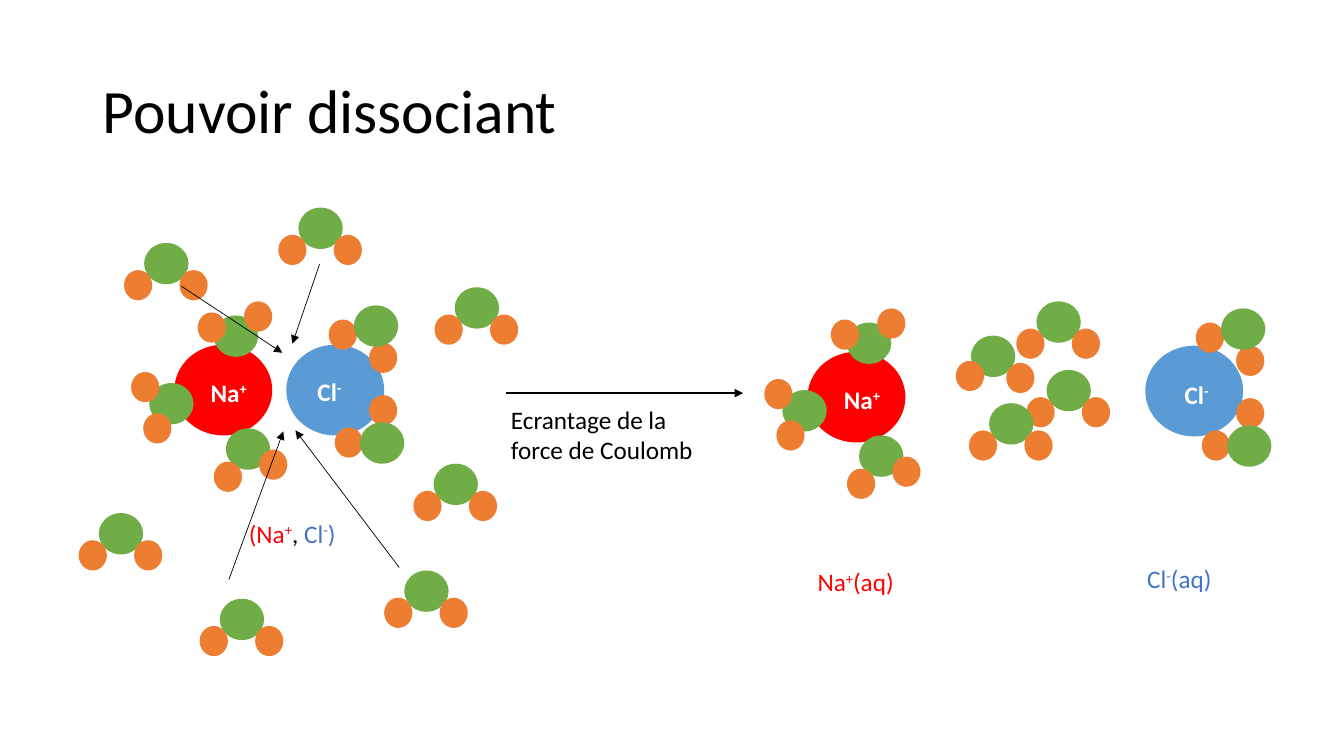
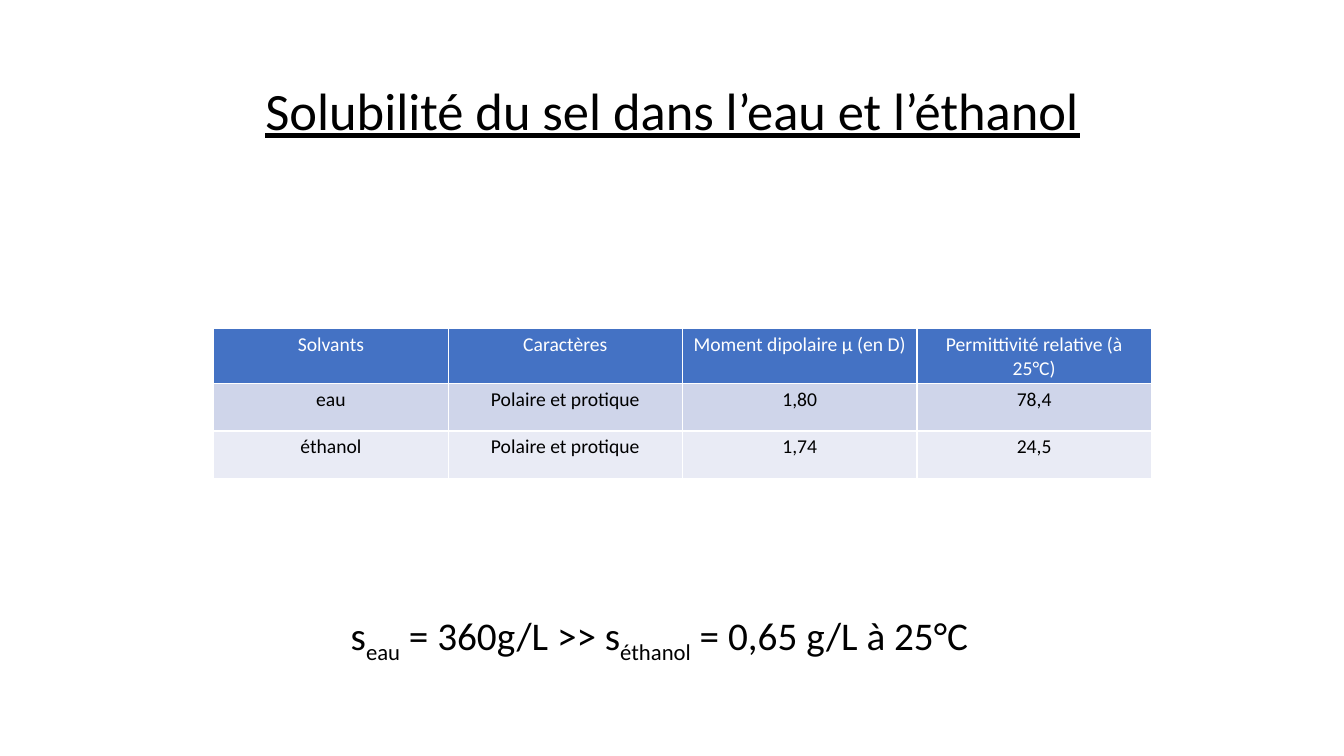
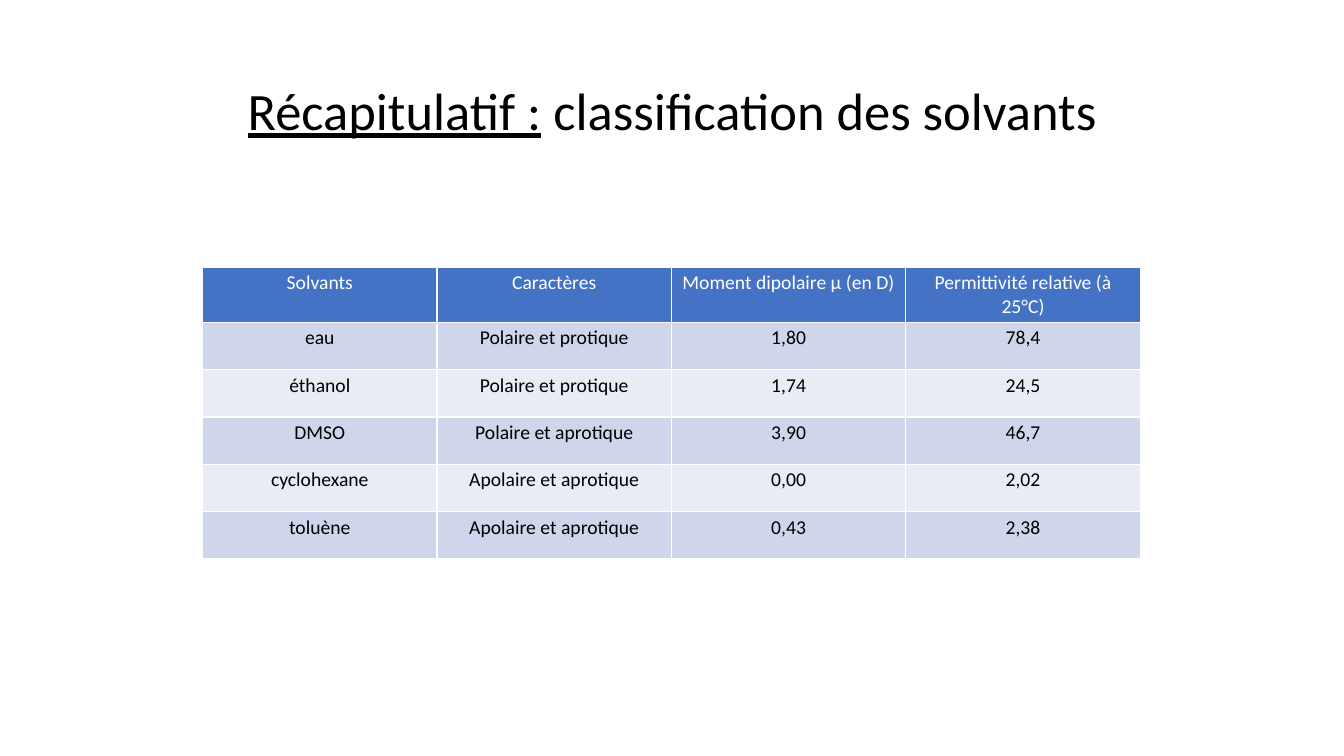
from lxml import etree
from pptx import Presentation
from pptx.dml.color import RGBColor
from pptx.enum.shapes import MSO_CONNECTOR, MSO_SHAPE
from pptx.enum.text import MSO_ANCHOR, MSO_AUTO_SIZE, PP_ALIGN
from pptx.oxml.ns import qn
from pptx.util import Emu, Pt

ELLIPSE = MSO_SHAPE.OVAL
STRAIGHT = MSO_CONNECTOR.STRAIGHT
MIDDLE, TOP = MSO_ANCHOR.MIDDLE, MSO_ANCHOR.TOP
LEFT, CENTER = PP_ALIGN.LEFT, PP_ALIGN.CENTER
GROW = MSO_AUTO_SIZE.SHAPE_TO_FIT_TEXT

EMU_PER_PX = 9144
FONT = "Calibri"
BLACK, WHITE = "000000", "FFFFFF"
RED, SKY, BLUE = "FF0000", "5B9BD5", "4472C4"
GREEN, ORANGE = "70AD47", "ED7D31"
BANDS = ("CFD5EA", "E9EBF5")
SUPER, SUB = 30, -25

ION_SIZE = (97, 90)
ATOM_SIZES = {GREEN: (44, 41), ORANGE: (28, 30)}
# Atoms around each ion, from back to front, relative to the shell's anchor
NA_SHELL = [
    (GREEN, 39, -29), (GREEN, -25, 38), (GREEN, 51, 83),
    (ORANGE, 69, -43), (ORANGE, 23, -32), (ORANGE, -43, 27),
    (ORANGE, -31, 68), (ORANGE, 39, 116), (ORANGE, 84, 104),
]
CL_SHELL = [
    (ORANGE, 42, -25), (ORANGE, 82, -2), (ORANGE, 82, 50),
    (ORANGE, 48, 82), (GREEN, 73, 77), (GREEN, 67, -39),
]
FREE_WATERS = [(296, 206), (143, 241), (98, 509), (401, 566), (451, 285),
               (218, 594), (430, 460)]
RELEASED_WATERS = [(1028, 299), (1038, 367), (981, 400)]
APPROACHES = [((317, 262), (290, 341)), ((227, 575), (281, 428)),
              ((180, 284), (280, 350)), ((396, 563), (293, 427))]

HEADER = ("Solvants", "Caractères", "Moment dipolaire µ (en D)",
          "Permittivité relative (à 25°C)")
SOLVENTS = [
    ("eau", "Polaire et protique", "1,80", "78,4"),
    ("éthanol", "Polaire et protique", "1,74", "24,5"),
    ("DMSO", "Polaire et aprotique", "3,90", "46,7"),
    ("cyclohexane", "Apolaire et aprotique", "0,00", "2,02"),
    ("toluène", "Apolaire et aprotique", "0,43", "2,38"),
]


def px(n):
    return Emu(n * EMU_PER_PX)


def rgb(color):
    return RGBColor.from_string(color)


def add_text(s, box, runs, size, color=BLACK, bold=False, align=LEFT,
             anchor=TOP, wrap=True):
    """Add one paragraph; each run is (text, options: base, color, underline)."""
    tb = s.shapes.add_textbox(*map(px, box))
    tf = tb.text_frame
    tf.word_wrap = wrap
    tf.vertical_anchor = anchor
    if anchor == TOP:
        tf.auto_size = GROW
    p = tf.paragraphs[0]
    p.alignment = align
    p.font.name, p.font.size, p.font.bold = FONT, Pt(size), bold
    for text, options in runs:
        r = p.add_run()
        r.text = text
        r.font.color.rgb = rgb(options.get("color", color))
        if options.get("underline"):
            r.font.underline = True
        if "base" in options:
            r.font._element.set("baseline", str(options["base"] * 1000))
    return p


def add_title(s, runs, size=37.5, align=CENTER):
    p = add_text(s, (92, 40, 1150, 145), runs, size, align=align, anchor=MIDDLE)
    p.line_spacing = 0.9


def add_ball(s, x, y, size, color):
    ball = s.shapes.add_shape(ELLIPSE, px(x), px(y), *map(px, size))
    ball.shadow.inherit = False
    ball.fill.solid()
    ball.fill.fore_color.rgb = rgb(color)
    ball.line.fill.background()


def add_atoms(s, x, y, atoms):
    for color, dx, dy in atoms:
        add_ball(s, x + dx, y + dy, ATOM_SIZES[color], color)


def add_water(s, x, y, left_h=(-20, 27)):
    add_atoms(s, x, y, [(GREEN, 0, 0), (ORANGE, *left_h), (ORANGE, 35, 27)])


def add_ion(s, ion, shell, color, atoms, symbol, charge, label_offset):
    """Add an ion at point ion, with atoms and label placed from point shell."""
    add_ball(s, *ion, ION_SIZE, color)
    add_atoms(s, *shell, atoms)
    box = (shell[0] + label_offset[0], shell[1] + label_offset[1], 68, 40)
    add_text(s, box, [(symbol, {}), (charge, {"base": SUPER})], 18, WHITE, True)


def add_sodium(s, x, y):
    add_ion(s, (x, y), (x, y), RED, NA_SHELL, "Na", "+", (26, 27))


def add_chloride(s, ion, shell):
    add_ion(s, ion, shell, SKY, CL_SHELL, "Cl", "-", (21, 26))


def add_arrow(s, start, end, width):
    line = s.shapes.add_connector(STRAIGHT, *map(px, start + end))
    line.line.color.rgb = rgb(BLACK)
    line.line.width = Pt(width)
    etree.SubElement(line.line._get_or_add_ln(), qn("a:tailEnd"), type="triangle")
    etree.SubElement(line._element.spPr, qn("a:effectLst"))


def set_borders(cell):
    tc_pr = cell._tc.get_or_add_tcPr()
    for i, side in enumerate(("lnL", "lnR", "lnT", "lnB")):
        ln = etree.Element(qn("a:" + side), w=str(Pt(1)))
        fill = etree.SubElement(ln, qn("a:solidFill"))
        etree.SubElement(fill, qn("a:srgbClr"), val=WHITE)
        tc_pr.insert(i, ln)


def fill_cell(cell, text, fill, color):
    cell.fill.solid()
    cell.fill.fore_color.rgb = rgb(fill)
    cell.margin_left = cell.margin_right = px(7)
    cell.margin_top = cell.margin_bottom = px(4)
    set_borders(cell)
    cell.text = text
    p = cell.text_frame.paragraphs[0]
    p.alignment = CENTER
    p.font.name, p.font.size, p.font.bold = FONT, Pt(14), False
    p.font.color.rgb = rgb(color)


def add_solvent_table(s, x, y, solvents):
    rows = [HEADER, *solvents]
    header_h, row_h = 53, 47
    table = s.shapes.add_table(len(rows), len(HEADER), px(x), px(y), px(930),
                               px(header_h + row_h * len(solvents))).table
    for i, row in enumerate(rows):
        table.rows[i].height = px(row_h if i else header_h)
        fill, color = (BANDS[(i - 1) % 2], BLACK) if i else (BLUE, WHITE)
        for j, text in enumerate(row):
            fill_cell(table.cell(i, j), text, fill, color)


def build_dissociation(s):
    add_title(s, [("Pouvoir dissociant", {})], 44, LEFT)
    add_arrow(s, (502, 390), (737, 390), 1.5)

    add_sodium(s, 173, 342)
    add_chloride(s, (284, 342), (284, 342))
    add_text(s, (237, 509, 143, 40), [
        ("(Na", {}), ("+", {"base": SUPER}), (", ", {"color": BLACK}),
        ("Cl", {"color": BLUE}), ("-", {"color": BLUE, "base": SUPER}),
        (")", {"color": BLUE})], 18, RED)
    for x, y in FREE_WATERS:
        add_water(s, x, y)

    add_sodium(s, 801, 349)
    add_chloride(s, (1136, 343), (1144, 345))
    add_water(s, 963, 333, left_h=(-15, 25))
    for x, y in RELEASED_WATERS:
        add_water(s, x, y)
    add_text(s, (801, 557, 98, 40),
             [("Na", {}), ("+", {"base": SUPER}), ("(aq)", {})], 18, RED, wrap=False)
    add_text(s, (1128, 554, 143, 40),
             [("Cl", {}), ("-", {"base": SUPER}), ("(aq)", {})], 18, BLUE)

    for start, end in APPROACHES:
        add_arrow(s, start, end, 0.5)
    add_text(s, (497, 396, 226, 71), [("Ecrantage de la force de Coulomb", {})], 18)


def build_solubility(s):
    add_title(s, [("Solubilité du sel dans l’eau et l’éthanol", {"underline": True})])
    add_solvent_table(s, 212, 326, SOLVENTS[:2])
    add_text(s, (338, 602, 658, 57), [
        ("s", {}), ("eau", {"base": SUB}), (" = 360g/L >> s", {}),
        ("éthanol", {"base": SUB}), (" = 0,65 g/L à 25°C", {})], 28)


def build_summary(s):
    add_title(s, [("Récapitulatif :", {"underline": True}),
                  (" classification des solvants", {})])
    add_solvent_table(s, 201, 265, SOLVENTS)


def main():
    prs = Presentation()
    prs.slide_width, prs.slide_height = px(1333), px(750)
    blank = prs.slide_layouts[6]
    for build in (build_dissociation, build_solubility, build_summary):
        build(prs.slides.add_slide(blank))
    prs.save("out.pptx")


if __name__ == "__main__":
    main()
